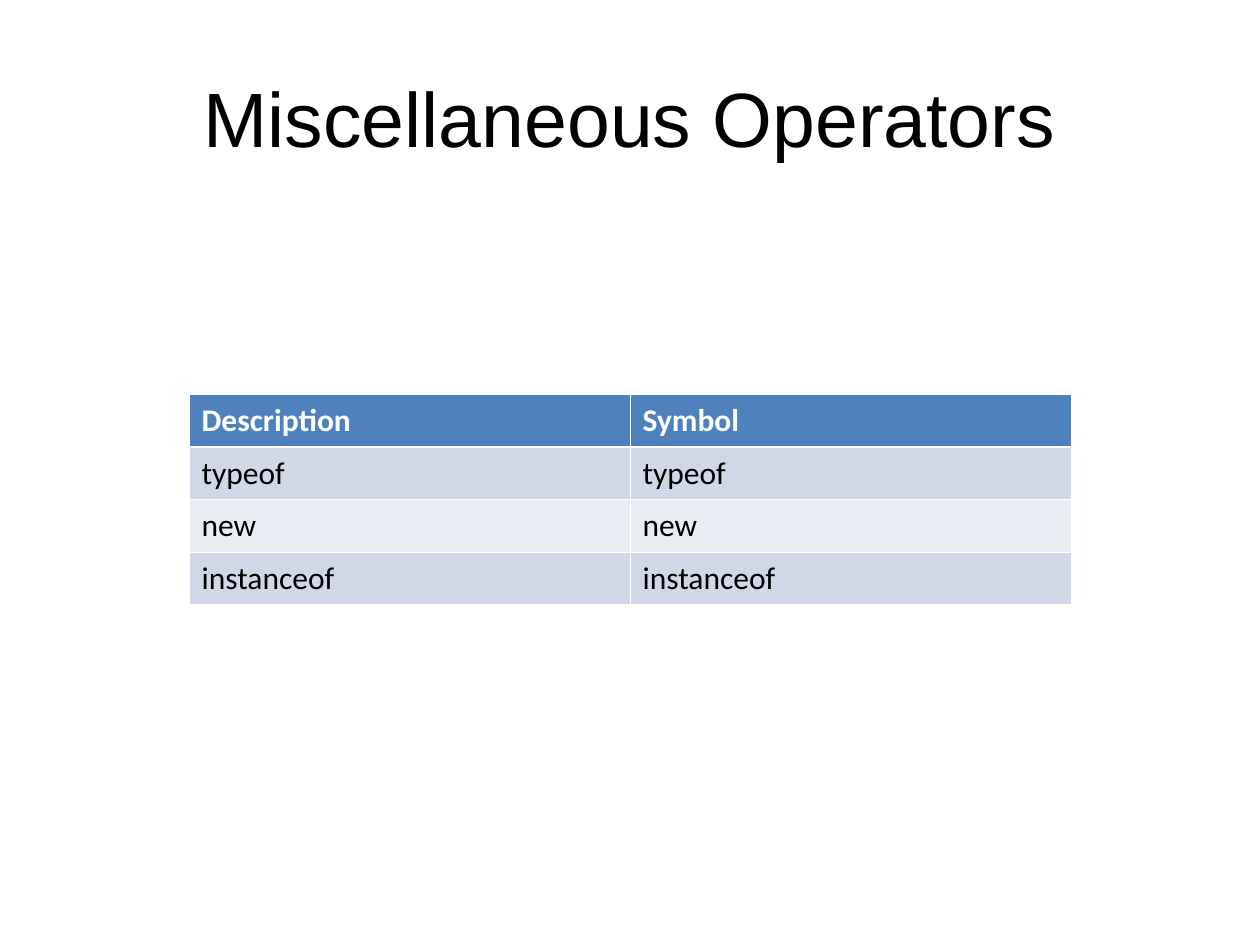
from dataclasses import dataclass

from lxml import etree
from pptx import Presentation
from pptx.dml.color import RGBColor
from pptx.enum.text import MSO_ANCHOR, PP_ALIGN
from pptx.oxml.ns import qn
from pptx.util import Inches, Pt

MIDDLE = MSO_ANCHOR.MIDDLE
CENTER, LEFT = PP_ALIGN.CENTER, PP_ALIGN.LEFT


@dataclass(frozen=True)
class Theme:
    white: str = "FFFFFF"
    black: str = "000000"
    header: str = "4F81BD"
    bands: tuple = ("D0D8E8", "E9EDF4")
    title_font: str = "Arial"
    table_font: str = "Calibri"
    title_size: float = 44
    table_size: float = 18
    space_before: float = 4.5
    thin: float = 0.45
    thick: float = 1.47


THEME = Theme()
OPERATORS = [
    ("Description", "Symbol"),
    ("typeof", "typeof"),
    ("new", "new"),
    ("instanceof", "instanceof"),
]


def write_text(para, text, color, align=LEFT, **format_values):
    para.alignment = align
    span = para.add_run()
    span.text = text
    span.font.color.rgb = RGBColor.from_string(color)
    for name, value in format_values.items():
        setattr(span.font, name, value)


def add_border(cell, side, width):
    properties = cell._tc.get_or_add_tcPr()
    line = etree.SubElement(properties, qn(f"a:ln{side}"), w=str(Pt(width)))
    fill = etree.SubElement(line, qn("a:solidFill"))
    etree.SubElement(fill, qn("a:srgbClr"), val=THEME.white)


def add_title(page, box, text):
    frame = page.shapes.add_textbox(*box).text_frame
    frame.word_wrap = True
    frame.vertical_anchor = MIDDLE
    write_text(frame.paragraphs[0], text, THEME.black, CENTER,
               name=THEME.title_font, size=Pt(THEME.title_size))


def fill_cell(cell, text, row):
    is_header = row == 0
    widths = {
        "L": THEME.thin,
        "R": THEME.thin,
        "T": THEME.thick if row == 1 else THEME.thin,
        "B": THEME.thick if is_header else THEME.thin,
    }
    for side, width in widths.items():
        add_border(cell, side, width)
    cell.fill.solid()
    color = THEME.header if is_header else THEME.bands[(row - 1) % 2]
    cell.fill.fore_color.rgb = RGBColor.from_string(color)
    cell.vertical_anchor = MIDDLE
    para = cell.text_frame.paragraphs[0]
    para.space_before = Pt(THEME.space_before)
    write_text(para, text, THEME.white if is_header else THEME.black,
               name=THEME.table_font, size=Pt(THEME.table_size), bold=is_header)


def add_operator_table(page, box, rows):
    table = page.shapes.add_table(len(rows), len(rows[0]), *box).table
    for row, texts in enumerate(rows):
        for column, text in enumerate(texts):
            fill_cell(table.cell(row, column), text, row)


def main():
    deck = Presentation()
    deck.slide_width, deck.slide_height = Inches(10), Inches(7.5)
    page = deck.slides.add_slide(deck.slide_layouts[6])
    title_box = [Inches(length) for length in (0.5, 0.3, 9, 1.25)]
    table_box = [Inches(length) for length in (1.5, 3.13, 7, 1.67)]
    add_title(page, title_box, "Miscellaneous Operators")
    add_operator_table(page, table_box, OPERATORS)
    deck.save("out.pptx")


if __name__ == "__main__":
    main()
